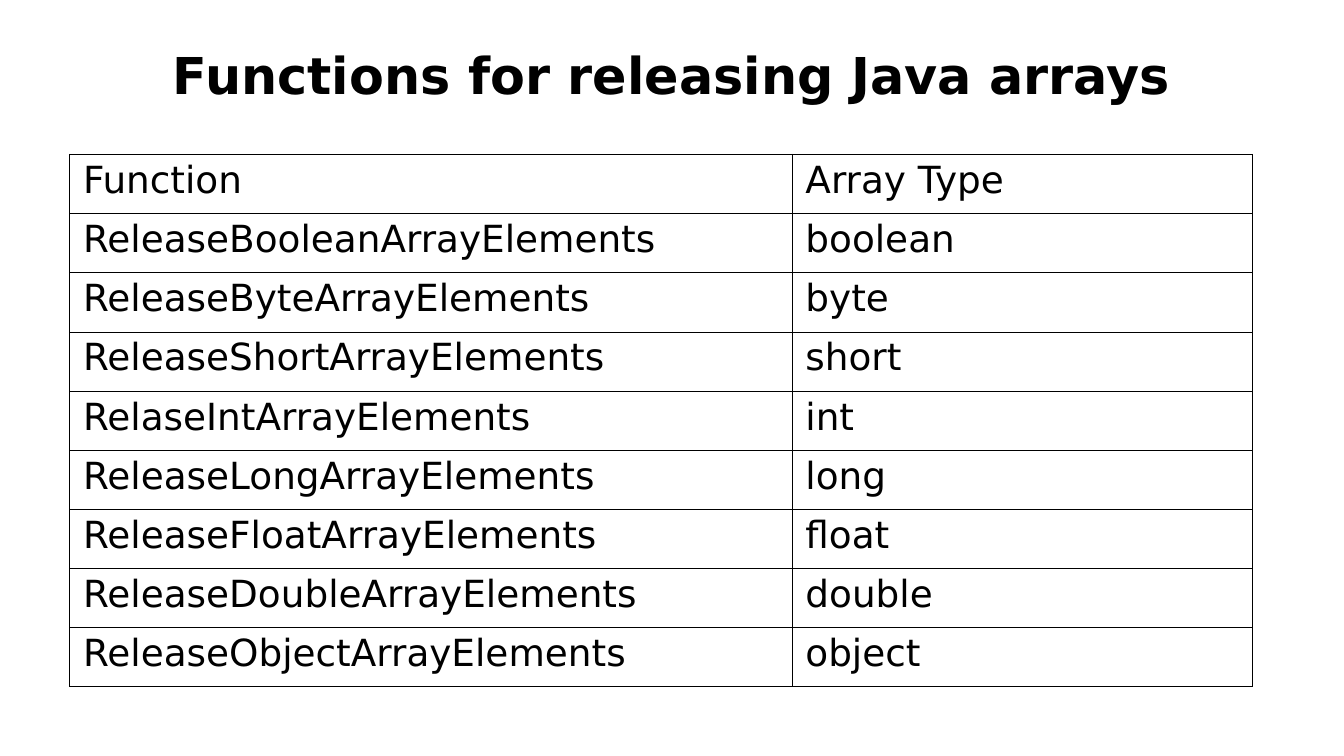
from lxml import etree
from pptx import Presentation
from pptx.dml.color import RGBColor
from pptx.enum.text import MSO_ANCHOR, PP_ALIGN
from pptx.oxml.ns import qn
from pptx.util import Pt

CENTER = PP_ALIGN.CENTER
MIDDLE = MSO_ANCHOR.MIDDLE
FONT = "DejaVu Sans"
BLACK = "000000"
OUTER, INNER = 0.5, 0.23
ROWS = [
    ("Function", "Array Type"),
    ("ReleaseBooleanArrayElements", "boolean"),
    ("ReleaseByteArrayElements", "byte"),
    ("ReleaseShortArrayElements", "short"),
    ("RelaseIntArrayElements", "int"),
    ("ReleaseLongArrayElements", "long"),
    ("ReleaseFloatArrayElements", "float"),
    ("ReleaseDoubleArrayElements", "double"),
    ("ReleaseObjectArrayElements", "object"),
]


def color(value):
    return RGBColor.from_string(value)


def style(p, size, bold=False):
    p.font.name = FONT
    p.font.size = Pt(size)
    p.font.bold = bold
    p.font.color.rgb = color(BLACK)


def add_border(cell, side, width):
    tc_pr = cell._tc.get_or_add_tcPr()
    ln = etree.SubElement(tc_pr, qn(f"a:ln{side}"), w=str(Pt(width)))
    fill = etree.SubElement(ln, qn("a:solidFill"))
    etree.SubElement(fill, qn("a:srgbClr"), val=BLACK)


def add_title(s, text, left, top, width, height):
    sp = s.shapes.title
    sp.left, sp.top, sp.width, sp.height = map(Pt, (left, top, width, height))
    tf = sp.text_frame
    tf.text = text
    tf.word_wrap = True
    tf.vertical_anchor = MIDDLE
    tf.margin_left = tf.margin_right = tf.margin_top = tf.margin_bottom = 0
    p = tf.paragraphs[0]
    p.alignment = CENTER
    style(p, 27.2, bold=True)


def add_function_table(s, rows, left, top, width, height):
    n_rows, n_cols = len(rows), len(rows[0])
    table = s.shapes.add_table(
        n_rows, n_cols, Pt(left), Pt(top), Pt(width), Pt(height)).table
    table.first_row = table.horz_banding = False
    name_width = round(width * 0.61)
    table.columns[0].width = Pt(name_width)
    table.columns[1].width = Pt(width - name_width)
    for i, row in enumerate(rows):
        table.rows[i].height = Pt(height / n_rows)
        for j, text in enumerate(row):
            cell = table.cell(i, j)
            cell.text = text
            p = cell.text_frame.paragraphs[0]
            p.line_spacing = 0.93
            style(p, 20)
            edges = {"L": j == 0, "R": j == n_cols - 1,
                     "T": i == 0, "B": i == n_rows - 1}
            for side, is_outer in edges.items():
                add_border(cell, side, OUTER if is_outer else INNER)
            cell.fill.background()


def main():
    prs = Presentation()
    prs.slide_width, prs.slide_height = Pt(720), Pt(405)
    s = prs.slides.add_slide(prs.slide_layouts[5])
    add_function_table(s, ROWS, 37.3, 82.7, 633.7, 285.4)
    add_title(s, "Functions for releasing Java arrays", 36, 8, 648, 63.4)
    prs.save("out.pptx")


if __name__ == "__main__":
    main()
